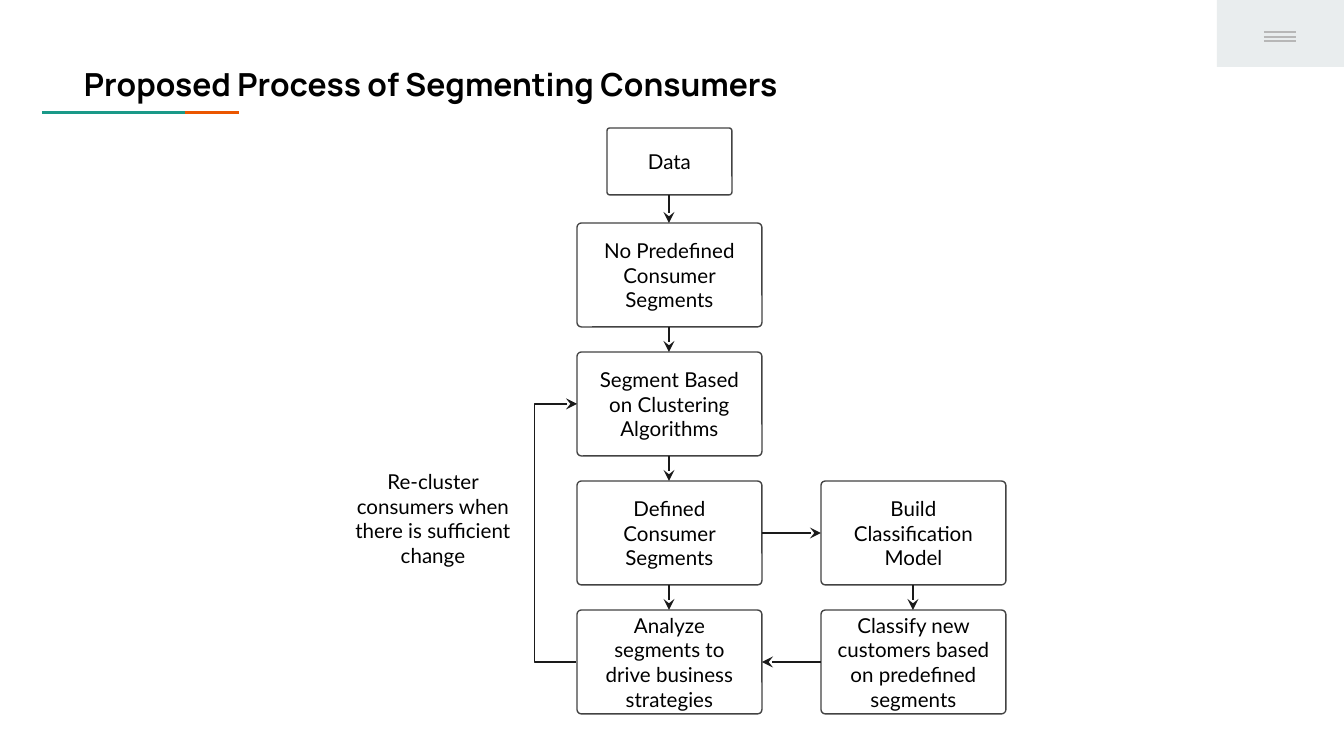
from pptx import Presentation
from pptx.dml.color import RGBColor
from pptx.enum.shapes import MSO_CONNECTOR, MSO_SHAPE
from pptx.enum.text import MSO_ANCHOR, PP_ALIGN
from pptx.oxml.ns import qn
from pptx.util import Pt
from lxml import etree

EMU_PER_PX = 914400 / 134.4
STRAIGHT, ELBOW = MSO_CONNECTOR.STRAIGHT, MSO_CONNECTOR.ELBOW
RECTANGLE, ROUNDED = MSO_SHAPE.RECTANGLE, MSO_SHAPE.ROUNDED_RECTANGLE
TOP, MIDDLE = MSO_ANCHOR.TOP, MSO_ANCHOR.MIDDLE
LEFT, CENTER = PP_ALIGN.LEFT, PP_ALIGN.CENTER

COLORS = {
    "text": "000000",
    "outline": "434343",
    "arrow": "1A1A1A",
    "teal": "1A9988",
    "orange": "EB5600",
    "corner": "E9EDEE",
    "menu": "B7B7B7",
}

# Flowchart grid
MAIN_X, SIDE_X = 577, 821
STEP_WIDTH, STEP_HEIGHT = 185, 104
ROWS = [223 + 129 * row for row in range(4)]
MAIN_STEPS = [
    "No Predefined Consumer Segments",
    "Segment Based on Clustering Algorithms",
    "Defined Consumer Segments",
    "Analyze segments to drive business strategies",
]
SIDE_STEPS = [
    "Build Classification Model",
    "Classify new customers based on predefined segments",
]
DATA_BOX = (607, 128, 125, 67)


def px(length):
    return round(length * EMU_PER_PX)


def color(name):
    return RGBColor.from_string(COLORS[name])


def write_text(shape, text, size=11, font="Lato", bold=False, align=CENTER, anchor=TOP):
    frame = shape.text_frame
    frame.word_wrap = True
    frame.vertical_anchor = anchor
    frame.margin_left = frame.margin_right = px(13)
    frame.margin_top = frame.margin_bottom = px(13)
    paragraph = frame.paragraphs[0]
    paragraph.text = text
    paragraph.alignment = align
    paragraph.font.size = Pt(size)
    paragraph.font.name = font
    paragraph.font.bold = bold
    paragraph.font.color.rgb = color("text")


def add_text(slide, box, text, **style):
    write_text(slide.shapes.add_textbox(*map(px, box)), text, **style)


def add_bar(slide, box, fill):
    bar = slide.shapes.add_shape(RECTANGLE, *map(px, box))
    bar.shadow.inherit = False
    bar.fill.solid()
    bar.fill.fore_color.rgb = color(fill)
    bar.line.fill.background()


def add_step(slide, box, text):
    step = slide.shapes.add_shape(ROUNDED, *map(px, box))
    step.adjustments[0] = 0.043
    step.shadow.inherit = False
    step.fill.background()
    step.line.color.rgb = color("outline")
    step.line.width = Pt(0.75)
    write_text(step, text, anchor=MIDDLE)


def add_line(slide, start, end, line_color, kind=STRAIGHT):
    line = slide.shapes.add_connector(kind, *map(px, start + end))
    line.line.color.rgb = color(line_color)
    line.line.width = Pt(0.75)
    etree.SubElement(line._element.spPr, qn("a:effectLst"))
    return line


def add_arrow(slide, start, end, kind=STRAIGHT):
    arrow = add_line(slide, start, end, "arrow", kind)
    outline = arrow.line._get_or_add_ln()
    etree.SubElement(outline, qn("a:tailEnd"), type="stealth", w="med", len="med")
    return arrow


def add_loop_arrow(slide, start, end, reach):
    """Elbow arrow that runs `reach` px left of its start before turning back."""
    arrow = add_arrow(slide, start, end, ELBOW)
    guides = arrow._element.spPr.find(qn("a:prstGeom")).get_or_add_avLst()
    bend = round(-reach / (end[0] - start[0]) * 100000)
    etree.SubElement(guides, qn("a:gd"), name="adj1", fmla=f"val {bend}")


def add_header(slide):
    add_bar(slide, (185, 111, 54, 3), "orange")
    add_bar(slide, (42, 111, 143, 3), "teal")
    add_bar(slide, (1217, 0, 127, 67), "corner")
    for y in (32, 37, 41):
        add_line(slide, (1264, y), (1296, y), "menu")
    add_text(slide, (71, 52, 1130, 79), "Proposed Process of Segmenting Consumers",
             size=17, font="Manrope", bold=True, align=LEFT)


def add_flowchart(slide):
    # Steps
    add_step(slide, DATA_BOX, "Data")
    for x, rows, texts in ((MAIN_X, ROWS, MAIN_STEPS), (SIDE_X, ROWS[2:], SIDE_STEPS)):
        for y, text in zip(rows, texts):
            add_step(slide, (x, y, STEP_WIDTH, STEP_HEIGHT), text)

    # Arrows down each column
    main_center, side_center = (x + STEP_WIDTH // 2 for x in (MAIN_X, SIDE_X))
    add_arrow(slide, (main_center, DATA_BOX[1] + DATA_BOX[3]), (main_center, ROWS[0]))
    for upper, lower in zip(ROWS, ROWS[1:]):
        add_arrow(slide, (main_center, upper + STEP_HEIGHT), (main_center, lower))
    add_arrow(slide, (side_center, ROWS[2] + STEP_HEIGHT), (side_center, ROWS[3]))

    # Arrows between the columns
    cluster_y, defined_y, analyze_y = (y + STEP_HEIGHT // 2 for y in ROWS[1:])
    main_right = MAIN_X + STEP_WIDTH
    add_arrow(slide, (main_right, defined_y), (SIDE_X, defined_y))
    add_arrow(slide, (SIDE_X, analyze_y), (main_right, analyze_y))

    # Feedback loop
    add_loop_arrow(slide, (MAIN_X - 1, analyze_y), (MAIN_X, cluster_y), reach=41)
    add_text(slide, (325, 456, 216, 126),
             "Re-cluster consumers when there is sufficient change")


def main():
    presentation = Presentation()
    presentation.slide_width = px(1344)
    presentation.slide_height = px(756)
    slide = presentation.slides.add_slide(presentation.slide_layouts[6])
    add_header(slide)
    add_flowchart(slide)
    presentation.save("out.pptx")


if __name__ == "__main__":
    main()
